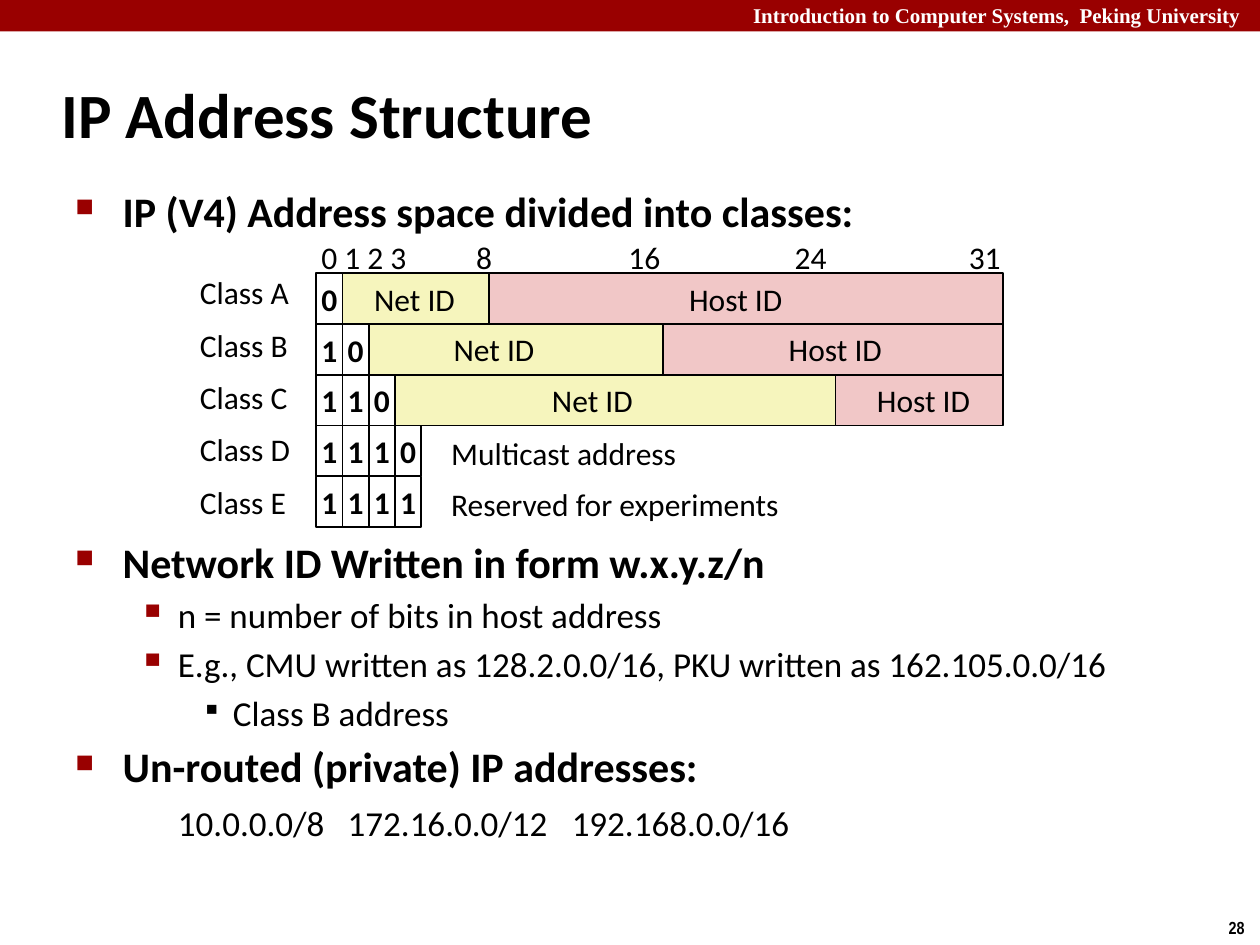
from lxml import etree
from pptx import Presentation
from pptx import util as u
from pptx.dml.color import RGBColor
from pptx.enum import shapes, text
from pptx.oxml import ns

Pt = u.Pt
BLACK = RGBColor(0, 0, 0)
WHITE = RGBColor(255, 255, 255)
RED = RGBColor(0x99, 0, 0)
YELLOW = RGBColor(0xF6, 0xF5, 0xBD)
PINK = RGBColor(0xF1, 0xC7, 0xC7)
INSETS = (7.2, 3.6)

deck = Presentation()
deck.slide_width, deck.slide_height = Pt(720), Pt(540)
page = deck.slides.add_slide(deck.slide_layouts[6])


def add_text(at, content, insets=(0, 0), align=text.PP_ALIGN.LEFT, tabs=(), **font):
    box = page.shapes.add_textbox(*(Pt(n) for n in at))
    frame = box.text_frame
    frame.word_wrap = True
    frame.margin_left = frame.margin_right = Pt(insets[0])
    frame.margin_top = frame.margin_bottom = Pt(insets[1])
    para = frame.paragraphs[0]
    para.text, para.alignment = content, align
    if tabs:
        stops = etree.SubElement(para._p.get_or_add_pPr(), ns.qn("a:tabLst"))
        for stop in tabs:
            etree.SubElement(stops, ns.qn("a:tab"), pos=str(Pt(stop)), algn="l")
    para.font.color.rgb = font.pop("color", BLACK)
    for key, value in {"name": "Calibri", "size": Pt(18), **font}.items():
        setattr(para.font, key, value)
    return frame


def add_rect(at, fill, outline=BLACK):
    rect = page.shapes.add_shape(shapes.MSO_SHAPE.RECTANGLE, *(Pt(n) for n in at))
    rect.shadow.inherit = False
    rect.fill.solid()
    rect.fill.fore_color.rgb = fill
    rect.line.color.rgb, rect.line.width = outline, Pt(1)
    return rect


# Header band, page number and title
add_rect((0, 0, 720, 18), RED).line.fill.background()
add_text((342, -2, 374, 21.6), "Introduction to Computer Systems,  Peking University",
         INSETS, text.PP_ALIGN.RIGHT, name="Times New Roman", size=Pt(12),
         color=WHITE, bold=True)
add_text((695, 520.5, 25, 19.5), "28", INSETS, name="Arial Narrow", size=Pt(10), bold=True)
title = add_text((28, 34.6, 598, 60), "IP Address Structure", INSETS, size=Pt(36), bold=True)
title.vertical_anchor = text.MSO_ANCHOR.MIDDLE

# Body: level -> (margin, hanging indent, size, bullet, bullet percent, bullet colour)
LEVELS = [
    (27, 27, 24, "■", 60, RED),
    (58.5, 22.5, 20, "▪", 110, RED),
    (90, 18, 20, "▪", 80, BLACK),
]
DIAGRAM_GAP = 172
body_lines = [
    (0, 0, "IP (V4) Address space divided into classes:"),
    (0, DIAGRAM_GAP, "Network ID Written in form w.x.y.z/n"),
    (1, 4, "n = number of bits in host address"),
    (1, 4, "E.g., CMU written as 128.2.0.0/16, PKU written as 162.105.0.0/16"),
    (2, 4, "Class B address"),
    (0, 4, "Un-routed (private) IP addresses:"),
]
body = page.shapes.add_textbox(Pt(36), Pt(102.2), Pt(654.5), Pt(411)).text_frame
body.word_wrap = True
for number, (level, before, content) in enumerate(body_lines):
    margin, hanging, size, bullet, percent, colour = LEVELS[level]
    para = body.add_paragraph() if number else body.paragraphs[0]
    para.text, para.level, para.space_before = content, level, Pt(before)
    props = para._p.get_or_add_pPr()
    props.set("marL", str(Pt(margin)))
    props.set("indent", str(-Pt(hanging)))
    tint = etree.SubElement(props, ns.qn("a:buClr"))
    etree.SubElement(tint, ns.qn("a:srgbClr"), val=str(colour))
    etree.SubElement(props, ns.qn("a:buSzPct"), val=str(percent * 1000))
    etree.SubElement(props, ns.qn("a:buChar"), char=bullet)
    for key, value in {"name": "Calibri", "size": Pt(size), "bold": level == 0}.items():
        setattr(para.font, key, value)
    para.font.color.rgb = BLACK
add_text((101.7, 458.2, 400, 25), "10.0.0.0/8\t172.16.0.0/12\t192.168.0.0/16",
         tabs=(97, 225), size=Pt(20))

# Bit positions above the diagram
add_text((183.6, 136.1, 400, 21.6), "0 1 2 3\t8\t16\t24\t31", tabs=(88.5, 175.5, 270.5, 370))

# Address classes: name, prefix bits, net/host boundary, labels as (left, content)
LEFT, TOP, RIGHT, BIT, ROW = 180.7, 156.2, 573.1, 15, 29
classes = [
    ("A", "0", 279.4, [(213.8, "Net ID"), (393.8, "Host ID")]),
    ("B", "10", 378.7, [(259.2, "Net ID"), (450.7, "Host ID")]),
    ("C", "110", 477.4, [(315.4, "Net ID"), (501.1, "Host ID")]),
    ("D", "1110", None, [(257.8, "Multicast address")]),
    ("E", "1111", None, [(257.8, "Reserved for experiments")]),
]
for row, (name, bits, boundary, labels) in enumerate(classes):
    top = TOP + row * ROW
    add_text((114.2, TOP + row * 29.9, 60, 21.6), f"Class {name}")
    if boundary:
        start = LEFT + len(bits) * BIT
        add_rect((start, top, boundary - start, ROW), YELLOW)
        add_rect((boundary, top, RIGHT - boundary, ROW), PINK)
    for left, content in labels:
        add_text((left, top + (3.6 if boundary else 4.8), 220 if not boundary else 60, 21.6),
                 content)
    for column, bit in enumerate(bits):
        frame = add_rect((LEFT + column * BIT, top, BIT, ROW), WHITE).text_frame
        frame.margin_left = frame.margin_right = Pt(2.5)
        frame.word_wrap = False
        frame.vertical_anchor = text.MSO_ANCHOR.MIDDLE
        para = frame.paragraphs[0]
        para.text, para.alignment = bit, text.PP_ALIGN.CENTER
        for key, value in {"name": "Calibri", "size": Pt(18), "bold": True}.items():
            setattr(para.font, key, value)
        para.font.color.rgb = BLACK

deck.save("out.pptx")
